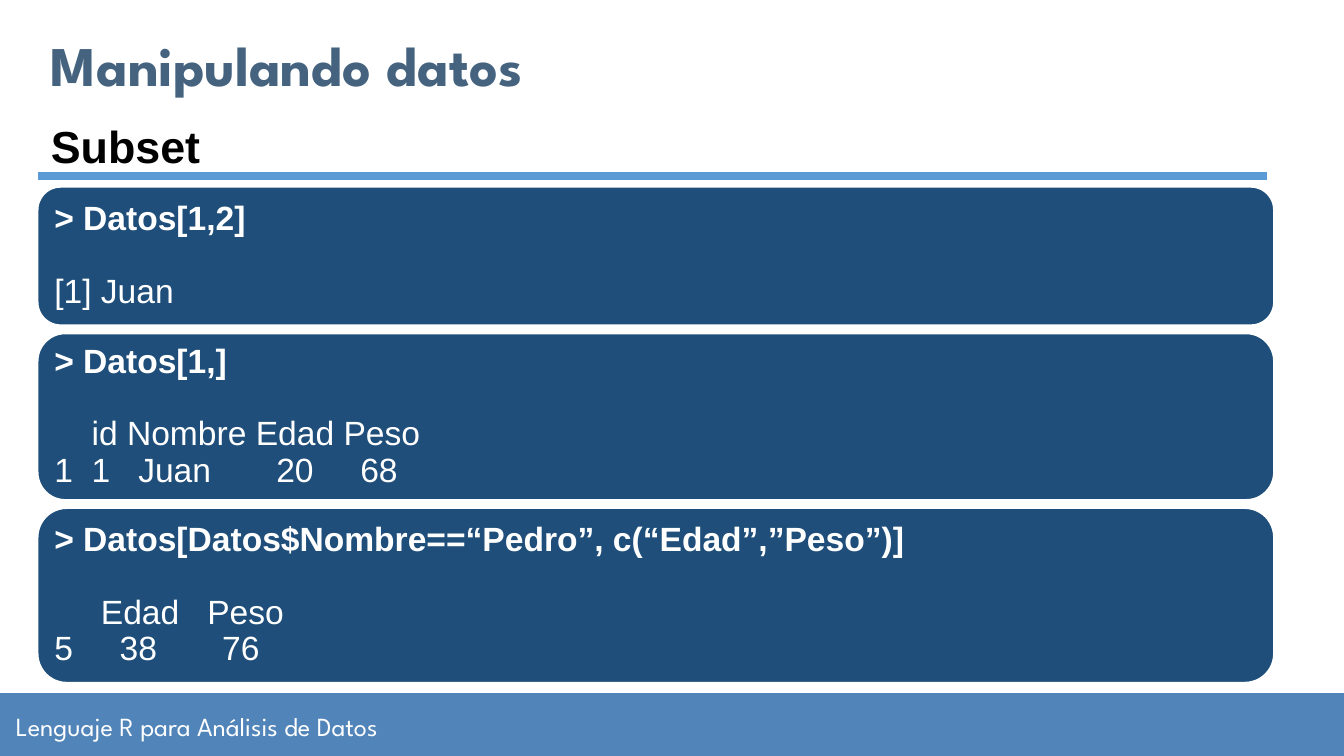
import pptx
import pptx.dml.color
import pptx.enum.shapes
import pptx.enum.text
import pptx.oxml.ns
import pptx.util
from lxml import etree

Pt = pptx.util.Pt
RGBColor = pptx.dml.color.RGBColor
MSO_SHAPE = pptx.enum.shapes.MSO_SHAPE
MSO_ANCHOR = pptx.enum.text.MSO_ANCHOR

WHITE = RGBColor(0xFF, 0xFF, 0xFF)
BLACK = RGBColor(0x00, 0x00, 0x00)
FOOTER_BLUE = RGBColor(0x51, 0x84, 0xB9)
TITLE_BLUE = RGBColor(0x45, 0x63, 0x7F)
PANEL_BLUE = RGBColor(0x1E, 0x4E, 0x79)
RULE_BLUE = RGBColor(0x5B, 0x9B, 0xD5)

HEADING_FONT = "League Spartan"
BODY_FONT = "Arial"

PANEL_LEFT, PANEL_WIDTH = 20.16, 662.4
CODE_SIZE = 18
# top, height, command, output lines
PANELS = [
    (100.1, 74.2, "> Datos[1,2]", ["[1] Juan"]),
    (178.6, 89.3, "> Datos[1,]",
     ["    id Nombre Edad Peso", "1  1   Juan       20     68"]),
    (272.2, 93.6, "> Datos[Datos$Nombre==“Pedro”, c(“Edad”,”Peso”)]",
     ["     Edad   Peso", "5     38       76"]),
]


def add_block(shapes, kind, left, top, width, height, fill):
    block = shapes.add_shape(kind, Pt(left), Pt(top), Pt(width), Pt(height))
    block.shadow.inherit = False
    block.fill.solid()
    block.fill.fore_color.rgb = fill
    block.line.fill.background()
    return block


def add_box(shapes, left, top, width, height, inset_x, inset_y, anchor):
    """Add an empty wrapping text box and return its text frame."""
    box = shapes.add_textbox(Pt(left), Pt(top), Pt(width), Pt(height))
    frame = box.text_frame
    frame.word_wrap = True
    frame.vertical_anchor = anchor
    frame.margin_left = frame.margin_right = Pt(inset_x)
    frame.margin_top = frame.margin_bottom = Pt(inset_y)
    return frame


def style_runs(para, font_name, size, color, bold=False):
    for span in para.runs:
        span.font.name = font_name
        span.font.size = Pt(size)
        span.font.color.rgb = color
        span.font.bold = bold


def add_label(shapes, text, place, insets, anchor, style):
    frame = add_box(shapes, *place, *insets, anchor)
    frame.text = text
    style_runs(frame.paragraphs[0], *style)


def add_rule(shapes, left, right, y):
    rule = shapes.add_connector(
        pptx.enum.shapes.MSO_CONNECTOR.STRAIGHT, Pt(left), Pt(y), Pt(right), Pt(y))
    rule.line.color.rgb = RULE_BLUE
    rule.line.width = Pt(4.5)
    etree.SubElement(rule._element.spPr, pptx.oxml.ns.qn("a:effectLst"))


def add_code_panel(shapes, top, height, command, output):
    """Group a rounded panel with a bold command and its output below."""
    group = shapes.add_group_shape()
    panel = add_block(group.shapes, MSO_SHAPE.ROUNDED_RECTANGLE,
                      PANEL_LEFT, top, PANEL_WIDTH, height, PANEL_BLUE)
    panel.adjustments[0] = 0.167
    panel.line.color.rgb = WHITE
    panel.line.width = Pt(1)

    inset_x, inset_y = 3.2, height * 0.05
    frame = add_box(group.shapes, PANEL_LEFT + inset_x, top + inset_y,
                    PANEL_WIDTH - 2 * inset_x, height - 2 * inset_y,
                    5.76, 5.76, MSO_ANCHOR.MIDDLE)
    frame.text = "\n".join([command, *output])
    for index, para in enumerate(frame.paragraphs):
        para.line_spacing = 0.9
        if index == 1:
            para.space_before = Pt(19.5)
        style_runs(para, BODY_FONT, CODE_SIZE, WHITE, bold=index == 0)


def main():
    deck = pptx.Presentation()
    deck.slide_width, deck.slide_height = Pt(720), Pt(405)
    page = deck.slides.add_slide(deck.slide_layouts[6])
    shapes = page.shapes

    add_block(shapes, MSO_SHAPE.RECTANGLE, 0, 371.4, 720, 33.6, FOOTER_BLUE)
    add_label(shapes, "Lenguaje R para Análisis de Datos",
              (1.44, 372.2, 357.8, 33.6), (7.2, 7.2), MSO_ANCHOR.MIDDLE,
              (HEADING_FONT, 14, WHITE))
    add_label(shapes, "Manipulando datos",
              (PANEL_LEFT, 15.8, 474.5, 36.7), (7.2, 7.2), MSO_ANCHOR.MIDDLE,
              (HEADING_FONT, 30, TITLE_BLUE, True))
    add_label(shapes, "Subset",
              (PANEL_LEFT, 59.8, 673.2, 36), (7.2, 3.6), MSO_ANCHOR.TOP,
              (BODY_FONT, 24, BLACK, True))
    add_rule(shapes, PANEL_LEFT, 679, 94.3)
    for panel in PANELS:
        add_code_panel(shapes, *panel)

    deck.save("out.pptx")


if __name__ == "__main__":
    main()
